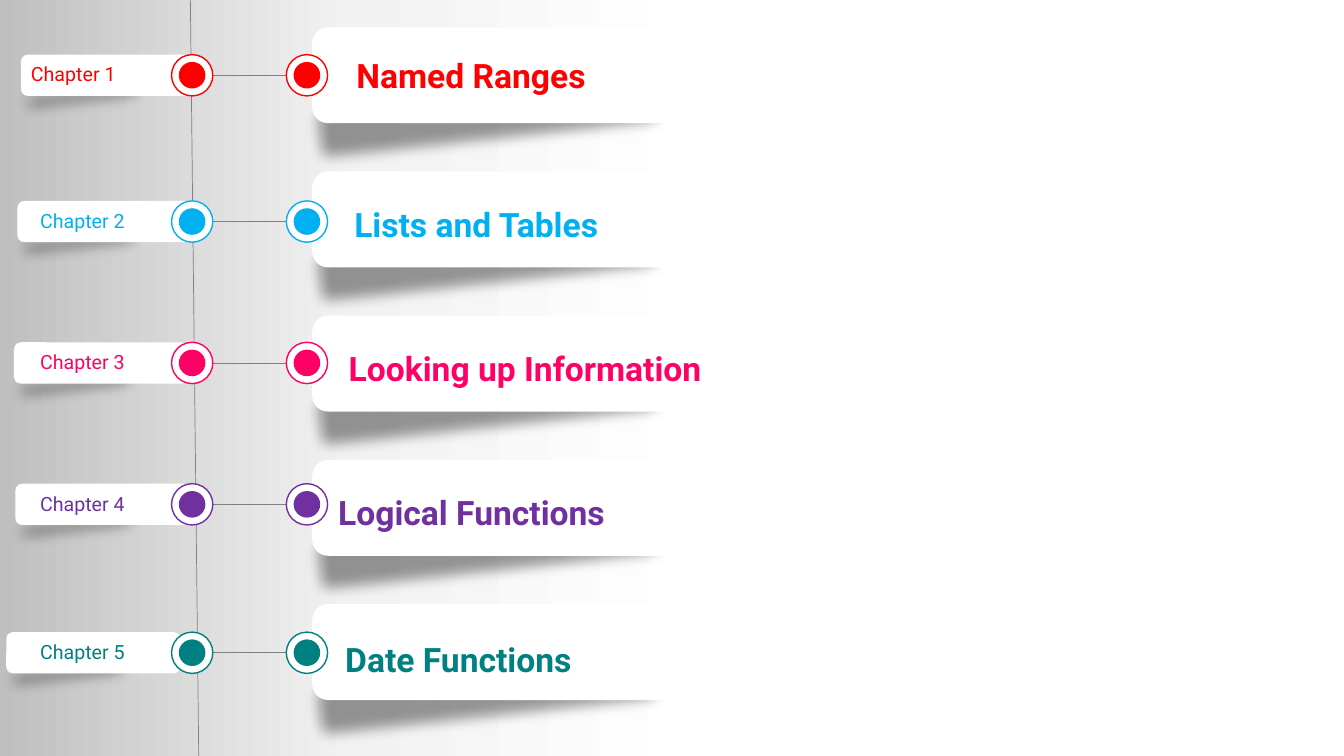
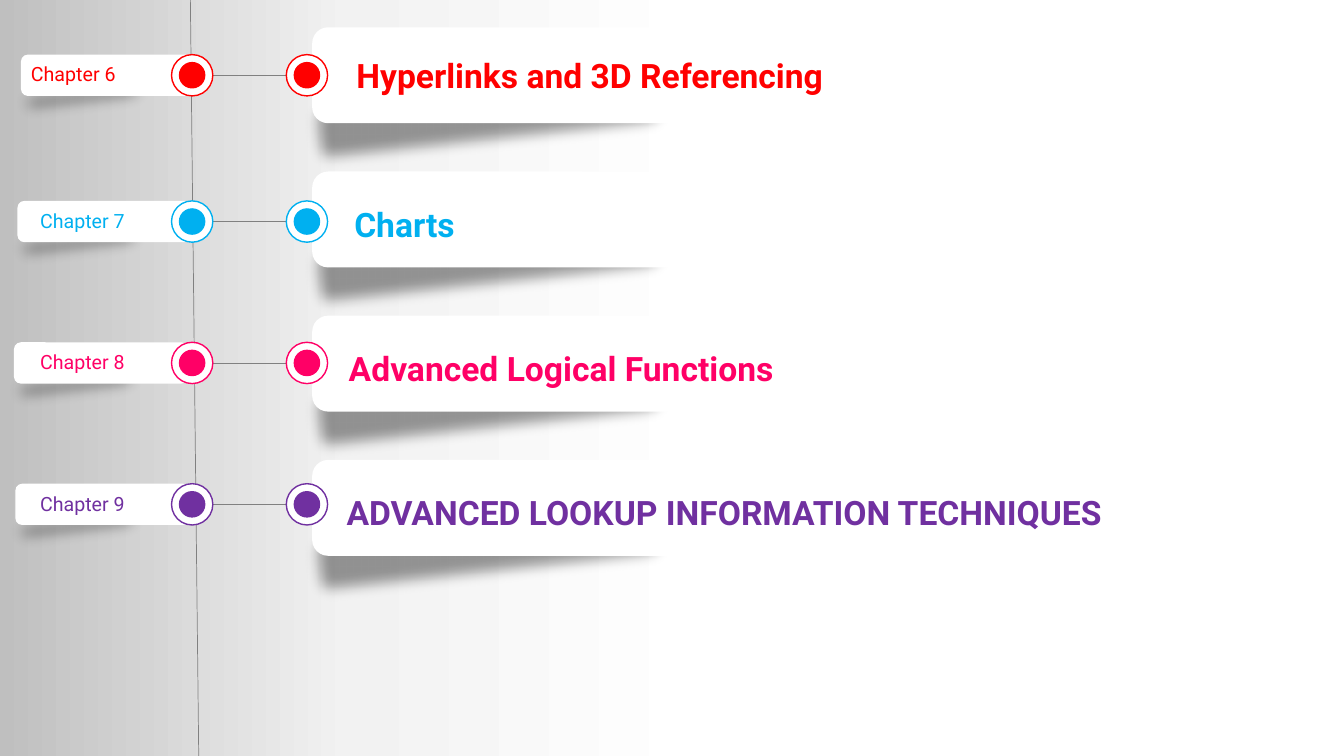
import copy

import lxml.etree
import pptx
import pptx.dml.color
import pptx.enum.shapes
import pptx.enum.text
import pptx.oxml.ns
import pptx.util

Pt = pptx.util.Pt
qn = pptx.oxml.ns.qn
RGBColor = pptx.dml.color.RGBColor
MSO_SHAPE = pptx.enum.shapes.MSO_SHAPE

FONT = "Roboto"
COLORS = {
    "white": "FFFFFF", "pale": "F2F2F2", "silver": "BFBFBF",
    "line": "808080", "shadow": "000000",
    "red": "FF0000", "blue": "00B0F0", "pink": "FF0066",
    "purple": "7030A0", "teal": "008080",
}
# Colour, tab left, tab top, label left, title top
ROWS = [
    ("red", 15, 39, 15, 35.5),
    ("blue", 12.5, 143.5, 21.5, 142),
    ("pink", 10, 244.5, 21.5, 245),
    ("purple", 11, 345.5, 21.5, 348),
    ("teal", 4.5, 451.5, 21.5, 453),
]
# Title, left, width
SLIDES = [
    [
        ("Named Ranges", 247.5, 356),
        ("Lists and Tables", 246, 380),
        ("Looking up Information", 242, 378),
        ("Logical Functions", 234.5, 412),
        ("Date Functions", 239.5, 381),
    ],
    [
        ("Hyperlinks and 3D Referencing", 247.5, 356),
        ("Charts", 246, 380),
        ("Advanced Logical Functions", 242, 378),
        ("ADVANCED LOOKUP INFORMATION TECHNIQUES", 240.5, 584),
    ],
]
CARD_TOP, CARD_STEP = 19.5, 103
DOT_LEFTS = (122.5, 204.5)
DOT, CORE = 29.5, 19


def add_block(shapes, kind, box, fill, outline=None):
    """Add a filled preset shape; box is left, top, width, height in points."""
    shape = shapes.add_shape(kind, *[Pt(value) for value in box])
    shape.shadow.inherit = False
    shape.fill.solid()
    shape.fill.fore_color.rgb = RGBColor.from_string(COLORS[fill])
    if outline:
        shape.line.color.rgb = RGBColor.from_string(COLORS[outline])
        shape.line.width = Pt(1)
    else:
        shape.line.fill.background()
    return shape


def add_text(shapes, box, text, size, color, bold=False):
    text_box = shapes.add_textbox(*[Pt(value) for value in box])
    frame = text_box.text_frame
    frame.word_wrap = True
    frame.auto_size = pptx.enum.text.MSO_AUTO_SIZE.SHAPE_TO_FIT_TEXT
    paragraph = frame.paragraphs[0]
    paragraph.text = text
    paragraph.font.name = FONT
    paragraph.font.size = Pt(size)
    paragraph.font.bold = bold
    paragraph.font.color.rgb = RGBColor.from_string(COLORS[color])


presentation = pptx.Presentation()
presentation.slide_width = Pt(960)
presentation.slide_height = Pt(540)

# The master carries the background gradient
background = presentation.slide_master.background.fill
background.gradient()
background.gradient_angle = 180
last_stop = background.gradient_stops[-1]._gs
last_stop.addnext(copy.deepcopy(last_stop))
stops = [(0.48, "white"), (0.74, "pale"), (1, "silver")]
for stop, (position, color) in zip(background.gradient_stops, stops):
    stop.position = position
    stop.color.rgb = RGBColor.from_string(COLORS[color])

chapter_number = 0
for chapters in SLIDES:
    slide = presentation.slides.add_slide(presentation.slide_layouts[6])
    rows = ROWS[:len(chapters)]
    card_tops = [CARD_TOP + CARD_STEP * index for index in range(len(rows))]

    # Timeline and the links between dots; links are drawn last
    lines = [(136, 0, 142, 543)]
    for color, tab_left, tab_top, label_left, title_top in rows:
        middle = tab_top + DOT / 2
        lines.append((DOT_LEFTS[0] + DOT, middle, DOT_LEFTS[1], middle))
    for ends in lines:
        connector = slide.shapes.add_connector(
            pptx.enum.shapes.MSO_CONNECTOR.STRAIGHT, *[Pt(value) for value in ends])
        connector.line.color.rgb = RGBColor.from_string(COLORS["line"])
        connector.line.width = Pt(0.5)
        lxml.etree.SubElement(connector._element.spPr, qn("a:effectLst"))

    # Tilted soft shadows under the tabs and the cards
    shadow_boxes = [(row[1] - 15, row[2] + 9, 118, 42.5) for row in rows]
    shadow_boxes += [(210, top + 29, 276.5, 68.5) for top in card_tops]
    for box in shadow_boxes:
        shadow = add_block(slide.shapes, MSO_SHAPE.RECTANGLE, box, "shadow")
        shadow.rotation = 353.8
        properties = shadow._element.spPr
        fill_color = properties.find(qn("a:solidFill")).find(qn("a:srgbClr"))
        lxml.etree.SubElement(fill_color, qn("a:alpha"), val="40000")
        lxml.etree.SubElement(properties.find(qn("a:effectLst")), qn("a:softEdge"),
                              rad=str(Pt(12.5)))

    for row, card_top, (title, title_left, title_width) in zip(rows, card_tops, chapters):
        color, tab_left, tab_top, label_left, title_top = row
        chapter_number += 1
        tab_group = slide.shapes.add_group_shape().shapes
        card_group = slide.shapes.add_group_shape().shapes
        add_block(tab_group, MSO_SHAPE.ROUNDED_RECTANGLE,
                  (tab_left, tab_top, 124.5, DOT), "white")
        add_block(card_group, MSO_SHAPE.ROUNDED_RECTANGLE,
                  (223, card_top, 361.5, 68.5), "white")
        inset = (DOT - CORE) / 2
        for group, dot_left in zip((tab_group, card_group), DOT_LEFTS):
            add_block(group, MSO_SHAPE.OVAL, (dot_left, tab_top, DOT, DOT), "white", color)
            add_block(group, MSO_SHAPE.OVAL,
                      (dot_left + inset, tab_top + inset, CORE, CORE), color)
        add_text(tab_group, (label_left, tab_top + 2, 85, 24.5),
                 f"Chapter {chapter_number}", 14, color)
        add_text(card_group, (title_left, title_top, title_width, 36),
                 title, 24, color, bold=True)

presentation.save("out.pptx")
